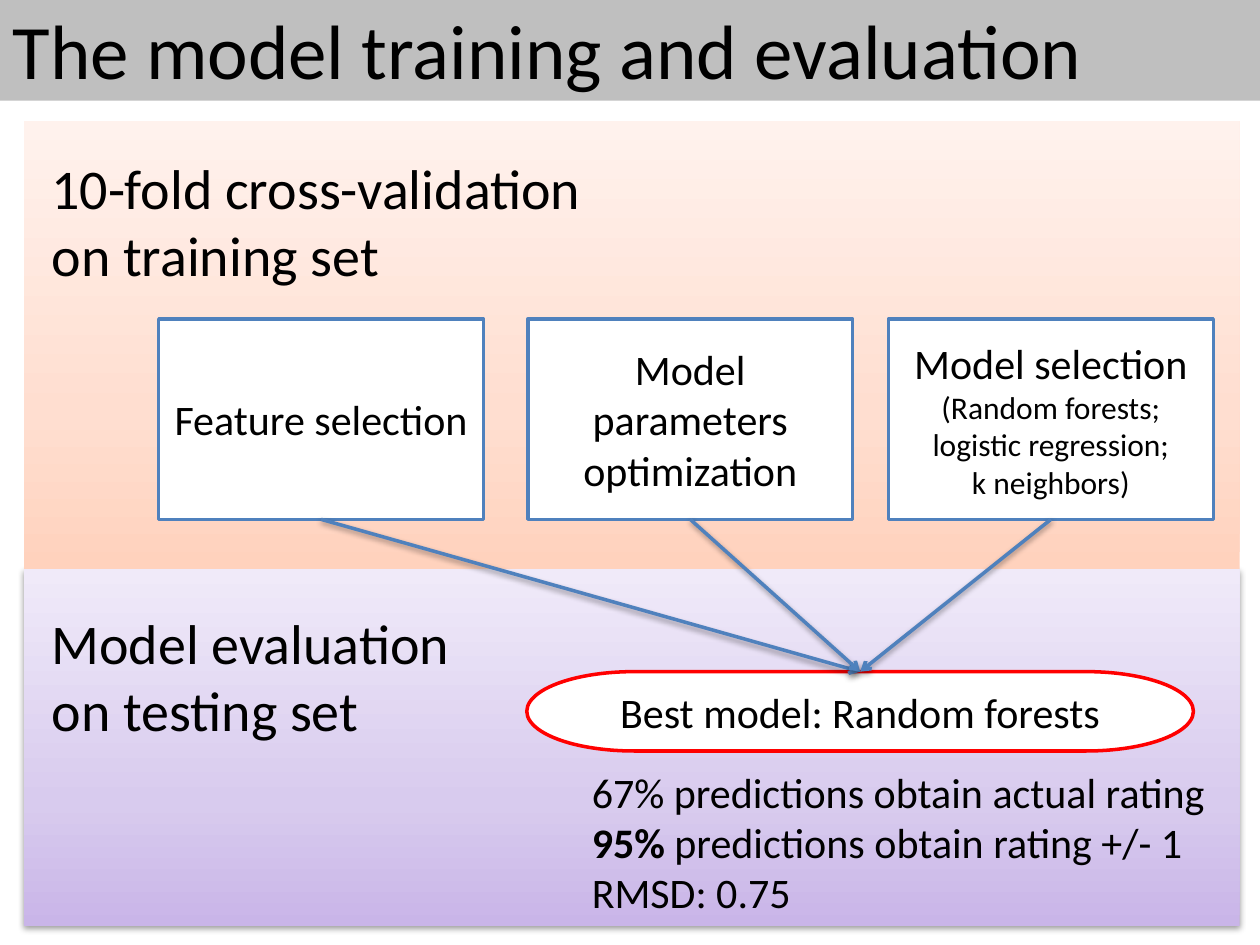
from lxml import etree
from pptx import Presentation
from pptx.dml.color import RGBColor
from pptx.enum.shapes import MSO_CONNECTOR as Connector, MSO_SHAPE as Preset
from pptx.enum.text import MSO_ANCHOR as Anchor, PP_ALIGN as Align
from pptx.oxml import parse_xml
from pptx.oxml.ns import nsdecls, qn
from pptx.util import Cm, Pt

FONT = "Calibri"
BLACK = RGBColor(0x00, 0x00, 0x00)
WHITE = RGBColor(0xFF, 0xFF, 0xFF)
GREY = RGBColor(0xBF, 0xBF, 0xBF)
BLUE = RGBColor(0x4F, 0x81, 0xBD)
RED = RGBColor(0xFF, 0x00, 0x00)
PEACH = (RGBColor(0xFF, 0xD2, 0xBD), RGBColor(0xFF, 0xDE, 0xD0), RGBColor(0xFF, 0xF2, 0xED))
LILAC = (RGBColor(0xC9, 0xB5, 0xE8), RGBColor(0xD8, 0xCB, 0xEE), RGBColor(0xF0, 0xEA, 0xF9))

TITLE_BOX = (0, -0.05, 25.4, 2.08)
TRAINING_BOX = (0.48, 2.44, 24.51, 9.03)
EVALUATION_BOX = (0.48, 11.48, 24.51, 7.19)
STEP_WIDTH, STEP_HEIGHT = 6.55, 4.04
STEPS = [
    (2.72, ["Feature selection"]),
    (10.16, ["Model parameters optimization"]),
    (17.43, ["Model selection", "(Random forests;", "logistic regression;", "k neighbors)"]),
]


def place(box, left, top, width, height):
    """Return the lengths of a part positioned relative to a box."""
    return Cm(box[0] + left), Cm(box[1] + top), Cm(width), Cm(height)


def write_lines(frame, lines, size, align=Align.LEFT, detail_size=None):
    """Fill a text frame with one paragraph a line, later ones in the detail size."""
    frame.text = "\n".join(lines)
    for index, para in enumerate(frame.paragraphs):
        para.alignment = align
        for span in para.runs:
            span.font.name = FONT
            span.font.size = Pt(detail_size if index and detail_size else size)
            span.font.color.rgb = BLACK


def add_shadow(shape):
    """Give a shape or connector a soft shadow below it."""
    shape._element.spPr.append(parse_xml(
        f'<a:effectLst {nsdecls("a")}><a:outerShdw blurRad="40000" dist="20000" '
        'dir="5400000" rotWithShape="0"><a:srgbClr val="000000">'
        '<a:alpha val="38000"/></a:srgbClr></a:outerShdw></a:effectLst>'))


def add_panel(page, box, colors):
    """Draw a borderless panel with a three-stop vertical gradient."""
    panel = page.shapes.add_shape(Preset.FLOWCHART_PROCESS, *place(box, 0, 0, *box[2:]))
    panel.fill.gradient()
    panel.fill.gradient_angle = 90
    stops = panel._element.spPr.find(qn("a:gradFill")).find(qn("a:gsLst"))
    for stop in list(stops):
        stops.remove(stop)
    for position, color in zip((0, 35000, 100000), colors):
        stop = etree.SubElement(stops, qn("a:gs"), pos=str(position))
        etree.SubElement(stop, qn("a:srgbClr"), val=str(color))
    panel.line.fill.background()
    return panel


def add_node(page, preset, position, border, lines):
    """Draw a white outlined node with centred text."""
    node = page.shapes.add_shape(preset, *position)
    node.shadow.inherit = False
    node.fill.solid()
    node.fill.fore_color.rgb = WHITE
    node.line.color.rgb = border
    node.line.width = Pt(2)
    node.text_frame.vertical_anchor = Anchor.MIDDLE
    write_lines(node.text_frame, lines, 24, Align.CENTER, detail_size=18)
    return node


def add_label(page, position, lines, size):
    """Add an unwrapped text box and return its frame."""
    frame = page.shapes.add_textbox(*position).text_frame
    frame.word_wrap = False
    write_lines(frame, lines, size)
    return frame


def add_title(page, box, text):
    """Format the title placeholder as a grey band."""
    title = page.shapes.title
    title.left, title.top, title.width, title.height = place(box, 0, 0, *box[2:])
    title.fill.solid()
    title.fill.fore_color.rgb = GREY
    title.text_frame.vertical_anchor = Anchor.MIDDLE
    write_lines(title.text_frame, [text], 44)


def add_training(page, box):
    """Build the cross-validation region and return its step nodes."""
    add_panel(page, box, PEACH).shadow.inherit = False
    add_label(page, place(box, 0.31, 0.53, 11.38, 3),
              ["10-fold cross-validation", "on training set"], 32)
    return [
        add_node(page, Preset.FLOWCHART_PROCESS,
                 place(box, left, 3.99, STEP_WIDTH, STEP_HEIGHT), BLUE, lines)
        for left, lines in STEPS
    ]


def add_evaluation(page, box):
    """Build the testing region and return its best-model node."""
    add_shadow(add_panel(page, box, LILAC))
    add_label(page, place(box, 0.31, 0.66, 8.64, 3),
              ["Model evaluation", "on testing set"], 32)
    results = add_label(page, place(box, 11.2, 3.84, 13.06, 3.33), [
        "67% predictions obtain actual rating",
        "95%",
        "RMSD: 0.75",
    ], 24)
    para = results.paragraphs[1]
    para.runs[0].font.bold = True
    span = para.add_run()
    span.text = " predictions obtain rating +/- 1"
    span.font.name = FONT
    span.font.size = Pt(24)
    span.font.color.rgb = BLACK
    return add_node(page, Preset.FLOWCHART_TERMINATOR, place(box, 10.14, 2.06, 13.44, 1.6),
                    RED, ["Best model: Random forests"])


def add_arrow(page, source, target):
    """Join the bottom of one node to the top of another with an arrow."""
    arrow = page.shapes.add_connector(Connector.STRAIGHT, 0, 0, 0, 0)
    arrow.begin_connect(source, 2)
    arrow.end_connect(target, 0)
    arrow.line.color.rgb = BLUE
    arrow.line.width = Pt(2)
    etree.SubElement(arrow.line._get_or_add_ln(), qn("a:tailEnd"), type="arrow")
    add_shadow(arrow)


def main():
    """Build and save the deck."""
    deck = Presentation()
    deck.slide_width, deck.slide_height = Cm(25.4), Cm(19.05)
    page = deck.slides.add_slide(deck.slide_layouts[5])
    add_title(page, TITLE_BOX, "The model training and evaluation")
    best_model = add_evaluation(page, EVALUATION_BOX)
    for step in add_training(page, TRAINING_BOX):
        add_arrow(page, step, best_model)
    deck.save("out.pptx")


if __name__ == "__main__":
    main()
